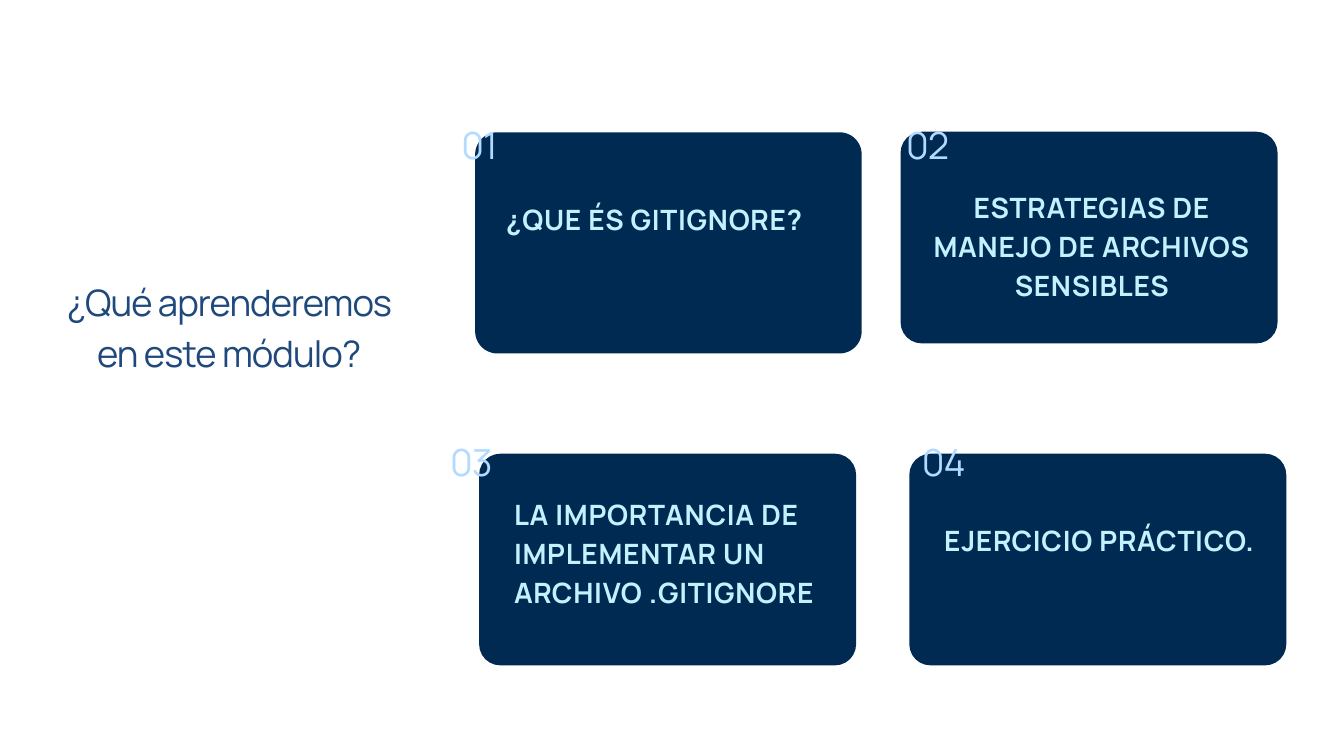
from dataclasses import dataclass

from pptx import Presentation
from pptx.dml.color import RGBColor
from pptx.enum.shapes import MSO_SHAPE
from pptx.enum.text import PP_ALIGN
from pptx.slide import Slide
from pptx.util import Cm, Pt


@dataclass(frozen=True)
class TextStyle:
    size: float
    leading: float
    tracking: float
    color: RGBColor
    bold: bool = False


@dataclass(frozen=True)
class Theme:
    font: str = "Manrope"
    card_fill: RGBColor = RGBColor(0x00, 0x2A, 0x52)
    corner: float = 0.1
    question: TextStyle = TextStyle(39, 54.6, -1, RGBColor(0x1F, 0x49, 0x7D))
    number: TextStyle = TextStyle(40, 56, -1, RGBColor(0xB3, 0xDA, 0xFF))
    topic: TextStyle = TextStyle(30, 42, 0.8, RGBColor(0xC3, 0xF2, 0xFF), True)


@dataclass(frozen=True)
class Box:
    """A rectangle in centimetres."""
    left: float
    top: float
    width: float
    height: float

    def lengths(self) -> tuple[Cm, Cm, Cm, Cm]:
        return Cm(self.left), Cm(self.top), Cm(self.width), Cm(self.height)


@dataclass(frozen=True)
class TopicCard:
    topic: str
    card: Box
    topic_box: Box
    number_left: float
    number_top: float
    align: PP_ALIGN = PP_ALIGN.LEFT


THEME = Theme()
UPPER_NUMBER, LOWER_NUMBER, LOWER_CARD = 4.32, 16.31, 17.15
CARD_WIDTH, CARD_HEIGHT = 14.25, 8

TOPICS = [
    TopicCard("¿QUE ÉS GITIGNORE?", Box(17.96, 5, 14.61, 8.36),
              Box(18.67, 7.44, 12.14, 1.42), 16.46, UPPER_NUMBER, PP_ALIGN.CENTER),
    TopicCard("ESTRATEGIAS DE MANEJO DE ARCHIVOS SENSIBLES",
              Box(34.04, 4.98, CARD_WIDTH, CARD_HEIGHT),
              Box(35.05, 6.99, 12.45, 4.42), 33.4, UPPER_NUMBER, PP_ALIGN.CENTER),
    TopicCard("LA IMPORTANCIA DE IMPLEMENTAR UN ARCHIVO .GITIGNORE",
              Box(18.11, LOWER_CARD, CARD_WIDTH, CARD_HEIGHT),
              Box(19.43, 18.59, 12.14, 4.42), 16.15, LOWER_NUMBER),
    TopicCard("EJERCICIO PRÁCTICO.",
              Box(34.37, LOWER_CARD, CARD_WIDTH, CARD_HEIGHT),
              Box(35.69, 19.58, 12.14, 2.92), 34.01, LOWER_NUMBER),
]


def add_text(slide: Slide, text: str, box: Box, style: TextStyle,
             align: PP_ALIGN = PP_ALIGN.CENTER) -> None:
    frame = slide.shapes.add_textbox(*box.lengths()).text_frame
    frame_format = {"word_wrap": True, "margin_left": 0, "margin_top": 0,
                    "margin_right": 0, "margin_bottom": 0}
    for name, value in frame_format.items():
        setattr(frame, name, value)
    paragraph = frame.paragraphs[0]
    paragraph.alignment = align
    paragraph.line_spacing = Pt(style.leading)
    run = paragraph.add_run()
    run.text = text
    font_format = {"name": THEME.font, "size": Pt(style.size), "bold": style.bold}
    for name, value in font_format.items():
        setattr(run.font, name, value)
    run.font.color.rgb = style.color
    run._r.get_or_add_rPr().set("spc", str(round(style.tracking * 100)))


def add_topic_card(slide: Slide, number: int, entry: TopicCard) -> None:
    card = slide.shapes.add_shape(MSO_SHAPE.ROUNDED_RECTANGLE, *entry.card.lengths())
    card.adjustments[0] = THEME.corner
    card.shadow.inherit = False
    card.fill.solid()
    card.fill.fore_color.rgb = THEME.card_fill
    card.line.fill.background()
    add_text(slide, entry.topic, entry.topic_box, THEME.topic, entry.align)
    number_box = Box(entry.number_left, entry.number_top, 3.33, 1.88)
    add_text(slide, f"{number:02}", number_box, THEME.number)


def main() -> None:
    presentation = Presentation()
    presentation.slide_width = Cm(50.8)
    presentation.slide_height = Cm(28.575)
    slide = presentation.slides.add_slide(presentation.slide_layouts[6])
    add_text(slide, "¿Qué aprenderemos en este módulo?",
             Box(1.7, 10.31, 13.92, 3.81), THEME.question)
    for number, entry in enumerate(TOPICS, start=1):
        add_topic_card(slide, number, entry)
    presentation.save("out.pptx")


if __name__ == "__main__":
    main()
